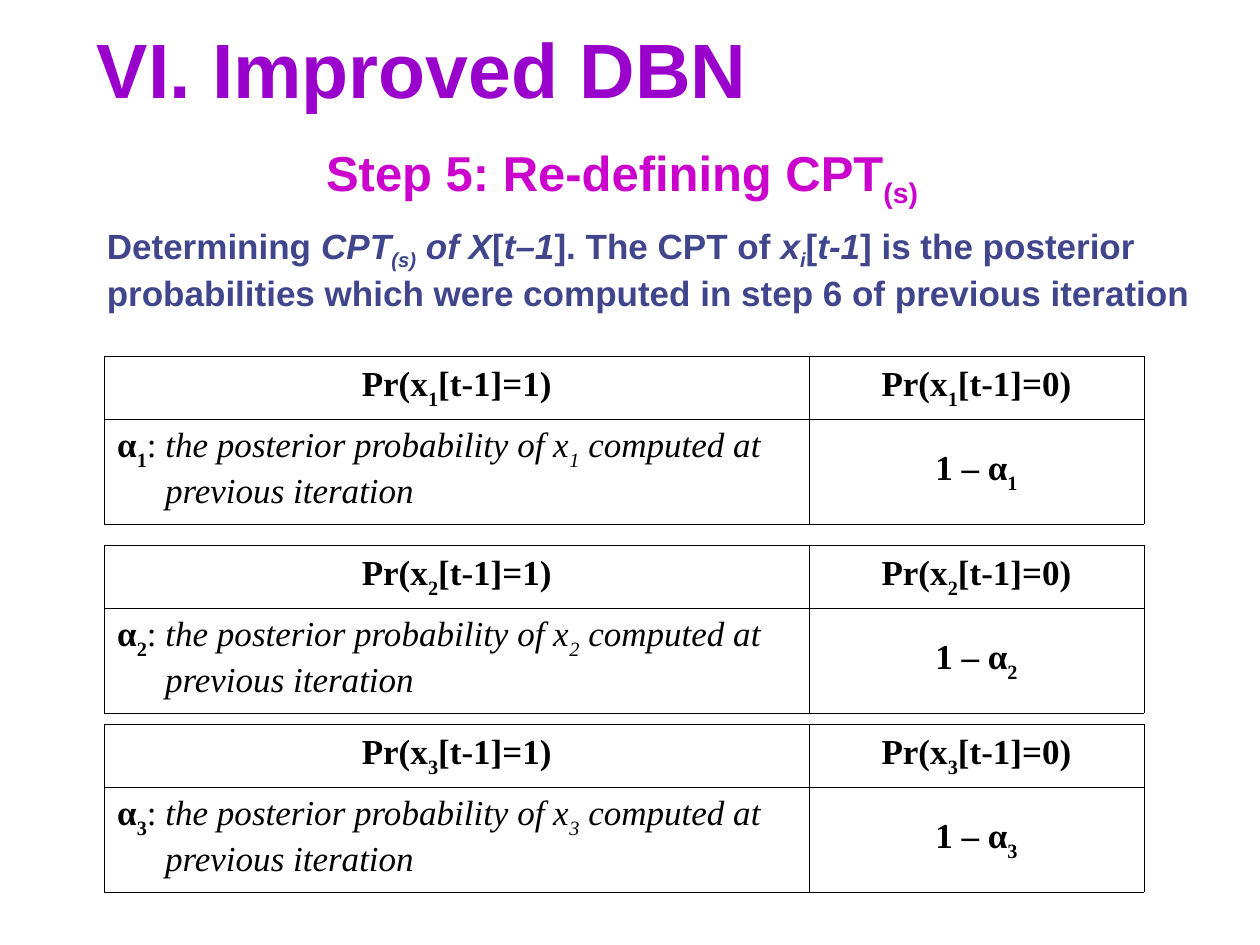
from lxml.etree import SubElement
from pptx import Presentation
from pptx.dml.color import RGBColor
from pptx.enum.text import MSO_ANCHOR as Anchor, PP_ALIGN as Align
from pptx.oxml.ns import qn
from pptx.util import Inches, Pt


def color(value):
    return RGBColor.from_string(value)


class SlideBuilder:
    heading_font = "Arial"
    table_font = "Times New Roman"
    body_size = 20
    ink = "000000"
    border_width = 0.45
    hanging = 0.38

    def __init__(self, presentation):
        self.slide = presentation.slides.add_slide(presentation.slide_layouts[6])

    def add_runs(self, paragraph, runs, font, size, ink, baseline):
        for text, style in runs:
            run = paragraph.add_run()
            run.text = text
            run.font.name = font
            run.font.size = Pt(size)
            run.font.bold = "b" in style
            run.font.italic = "i" in style
            run.font.color.rgb = color(ink)
            if "s" in style:
                run.font._element.set("baseline", str(baseline * 1000))

    def text(self, left, top, width, height, runs, size, ink, anchor=Anchor.TOP, wrap=True):
        shape = self.slide.shapes.add_textbox(
            Inches(left), Inches(top), Inches(width), Inches(height))
        frame = shape.text_frame
        frame.word_wrap = wrap
        frame.vertical_anchor = anchor
        self.add_runs(frame.paragraphs[0], runs, self.heading_font, size, ink, -25)

    def border(self, cell):
        properties = cell._tc.get_or_add_tcPr()
        for side in ("a:lnL", "a:lnR", "a:lnT", "a:lnB"):
            line = SubElement(properties, qn(side), w=str(int(Pt(self.border_width))))
            fill = SubElement(line, qn("a:solidFill"))
            SubElement(fill, qn("a:srgbClr"), val=self.ink)

    def cell(self, cell, runs, align=Align.CENTER, anchor=Anchor.MIDDLE):
        self.border(cell)
        cell.fill.background()
        cell.vertical_anchor = anchor
        paragraph = cell.text_frame.paragraphs[0]
        paragraph.alignment = align
        properties = paragraph._p.get_or_add_pPr()
        properties.set("marL", str(Inches(self.hanging)))
        properties.set("indent", str(-Inches(self.hanging)))
        self.add_runs(paragraph, runs, self.table_font, self.body_size, self.ink, -30)

    def probability_table(self, top, index):
        widths, heights = (5.59, 2.66), (0.5, 0.83)
        table = self.slide.shapes.add_table(
            2, 2, Inches(0.83), Inches(top), Inches(sum(widths)), Inches(sum(heights))).table
        table.first_row = table.horz_banding = False
        for column, width in zip(table.columns, widths):
            column.width = Inches(width)
        for row, height in zip(table.rows, heights):
            row.height = Inches(height)
        for column, value in enumerate((1, 0)):
            self.cell(table.cell(0, column),
                      [("Pr(x", "b"), (index, "bs"), (f"[t-1]={value})", "b")])
        self.cell(table.cell(1, 0), [
            ("α", "b"), (index, "bs"), (": ", ""),
            ("the posterior probability of x", "i"), (index, "is"),
            (" computed at previous iteration", "i")], Align.LEFT, Anchor.TOP)
        self.cell(table.cell(1, 1), [("1 – α", "b"), (index, "bs")])


def main():
    presentation = Presentation()
    presentation.slide_width = Inches(10)
    presentation.slide_height = Inches(7.5)
    builder = SlideBuilder(presentation)
    builder.text(0.67, 0.08, 8.92, 0.92, [("VI. Improved DBN", "b")],
                 44, "9900CC", Anchor.MIDDLE)
    builder.text(2.49, 1.08, 4.9, 0.63,
                 [("Step 5: Re-defining CPT", "b"), ("(s)", "bs")], 28, "CC00CC", wrap=False)
    builder.text(0.75, 1.73, 8.83, 0.82, [
        ("Determining", "b"), (" CPT", "bi"), ("(s)", "bis"), (" of X", "bi"),
        ("[", "b"), ("t–1", "bi"), ("]. The CPT of ", "b"),
        ("x", "bi"), ("i", "bis"), ("[", "b"), ("t-1", "bi"),
        ("] is the posterior probabilities which were computed in step 6"
         " of previous iteration", "b")], builder.body_size, "40458C")
    for index, top in enumerate((2.83, 4.33, 5.75), start=1):
        builder.probability_table(top, str(index))
    presentation.save("out.pptx")


if __name__ == "__main__":
    main()
